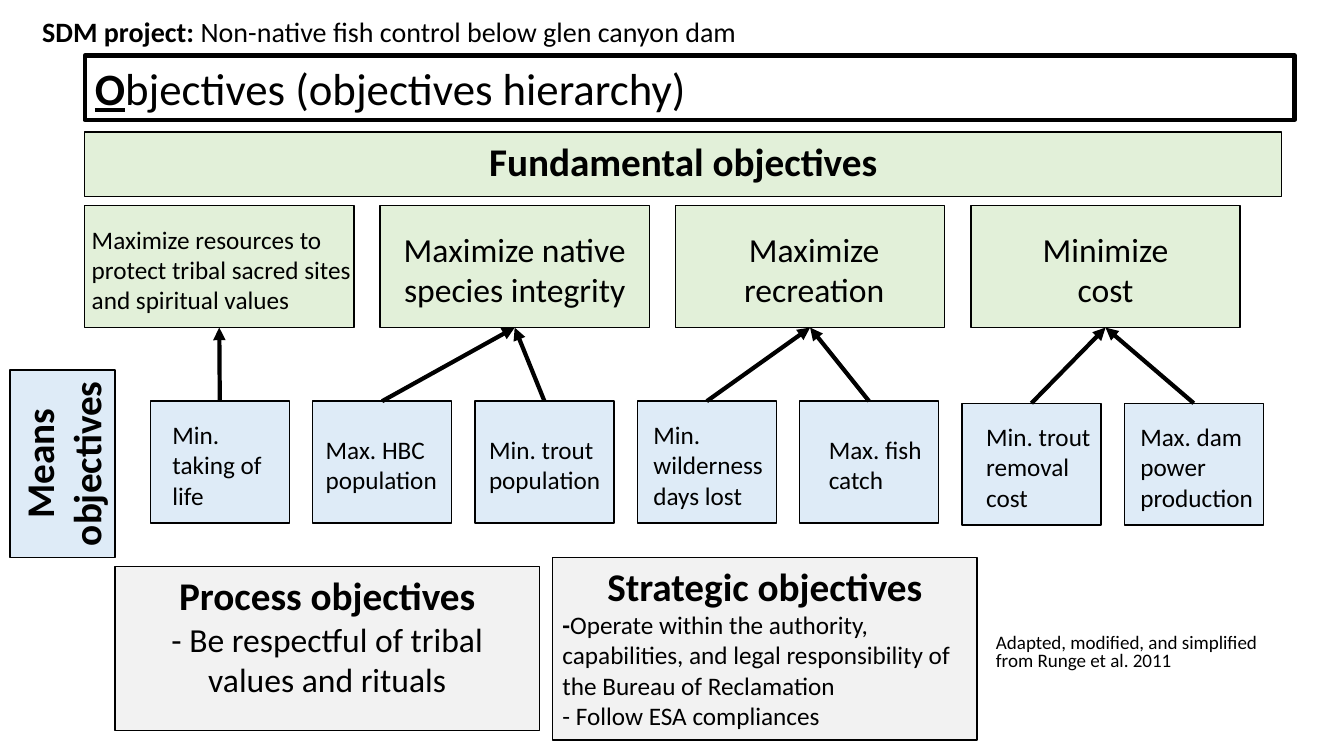
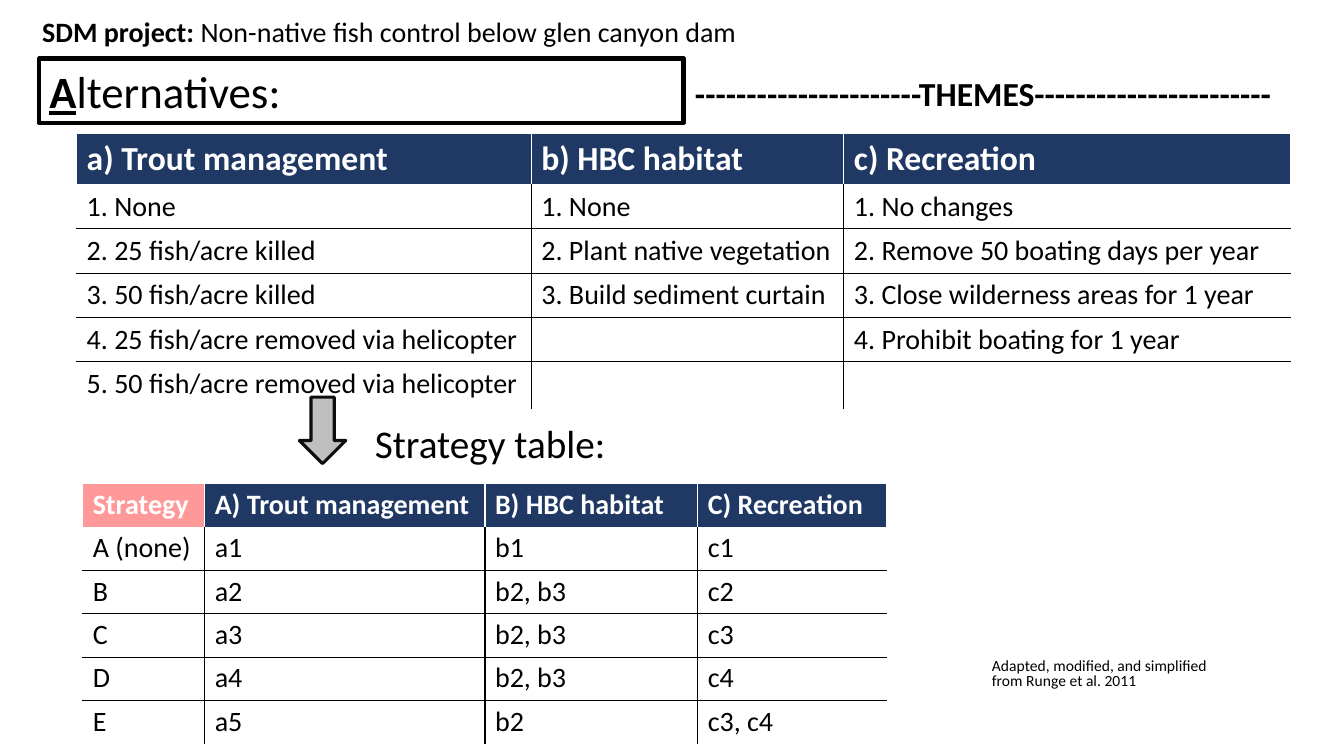
from lxml.etree import SubElement
from pptx import Presentation
from pptx.dml.color import RGBColor
from pptx.enum.shapes import MSO_CONNECTOR, MSO_SHAPE
from pptx.enum.text import MSO_ANCHOR, MSO_AUTO_SIZE, PP_ALIGN
from pptx.oxml.ns import qn
from pptx.util import Inches, Pt

FONT = "Calibri"
COLORS = {
    "black": "000000",
    "white": "FFFFFF",
    "fundamental": "E2F0D9",
    "means": "DEEBF7",
    "other": "F2F2F2",
    "header": "203864",
    "strategy": "FF9999",
    "arrow": "BFBFBF",
    "arrow_line": "0D0D0D",
}
LEFT, CENTER = PP_ALIGN.LEFT, PP_ALIGN.CENTER
TITLE_ONLY = 5

# text, size, alignment, left inset, right inset
FUNDAMENTALS = [
    ("Maximize resources to protect tribal sacred sites and spiritual values", 18, LEFT, 0.07, 0),
    ("Maximize native species integrity", 24, CENTER, 0.15, 0.15),
    ("Maximize recreation", 24, CENTER, 0.18, 0.1),
    ("Minimize cost", 24, CENTER, 0.43, 0.43),
]
# text, left inset, top, index of the fundamental objective it serves
MEANS = [
    ("Min. taking of life", 0.22, 3.98, 0),
    ("Max. HBC population", 0.13, 3.98, 1),
    ("Min. trout population", 0.14, 3.98, 1),
    ("Min. wilderness days lost", 0.16, 3.98, 2),
    ("Max. fish catch", 0.29, 3.98, 2),
    ("Min. trout removal cost", 0.24, 4, 3),
    ("Max. dam power production", 0.16, 4, 3),
]
THEMES = [
    ["a) Trout management", "b) HBC habitat", "c) Recreation"],
    ["1. None", "1. None", "1. No changes"],
    ["2. 25 fish/acre killed", "2. Plant native vegetation", "2. Remove 50 boating days per year"],
    ["3. 50 fish/acre killed", "3. Build sediment curtain", "3. Close wilderness areas for 1 year"],
    ["4. 25 fish/acre removed via helicopter", "", "4. Prohibit boating for 1 year"],
    ["5. 50 fish/acre removed via helicopter", "", ""],
]
STRATEGIES = [
    ["Strategy", "A) Trout management", "B) HBC habitat", "C) Recreation"],
    ["A (none)", "a1", "b1", "c1"],
    ["B", "a2", "b2, b3", "c2"],
    ["C", "a3", "b2, b3", "c3"],
    ["D", "a4", "b2, b3", "c4"],
    ["E", "a5", "b2", "c3, c4"],
]


def rgb(name):
    return RGBColor.from_string(COLORS[name])


def add_run(p, text, size, bold=False, underline=False, color="black"):
    r = p.add_run()
    r.text = text
    r.font.name = FONT
    r.font.size = Pt(size)
    r.font.bold = bold
    r.font.underline = underline
    r.font.color.rgb = rgb(color)


def add_paragraphs(tf, paragraphs):
    """Fill a frame from (alignment, [run arguments, ...]) pairs."""
    tf.word_wrap = True
    for i, (align, runs) in enumerate(paragraphs):
        p = tf.paragraphs[0] if i == 0 else tf.add_paragraph()
        p.alignment = align
        for run in runs:
            add_run(p, *run)


def set_look(sp, fill, line="black", width=1):
    sp.fill.solid()
    sp.fill.fore_color.rgb = rgb(fill)
    sp.line.color.rgb = rgb(line)
    sp.line.width = Pt(width)


def add_box(slide, x, y, w, h, fill, paragraphs, anchor=MSO_ANCHOR.TOP):
    sp = slide.shapes.add_shape(
        MSO_SHAPE.RECTANGLE, Inches(x), Inches(y), Inches(w), Inches(h))
    sp.shadow.inherit = False
    set_look(sp, fill)
    sp.text_frame.vertical_anchor = anchor
    add_paragraphs(sp.text_frame, paragraphs)
    return sp


def add_card(slide, x, y, w, fill, text, size, align, left, right):
    """Add a box of the hierarchy, with its text set by side insets."""
    sp = add_box(slide, x, y, w, 1.21, fill, [(align, [(text, size)])], MSO_ANCHOR.MIDDLE)
    tf = sp.text_frame
    tf.margin_left, tf.margin_right = Inches(left), Inches(right)
    tf.margin_top = Inches(0.1)
    return sp


def add_text(slide, x, y, w, h, runs, align=LEFT):
    tb = slide.shapes.add_textbox(Inches(x), Inches(y), Inches(w), Inches(h))
    add_paragraphs(tb.text_frame, [(align, runs)])
    return tb


def add_credit(slide, x, y, w, h, size):
    tb = add_text(slide, x, y, w, h,
                  [("Adapted, modified, and simplified from Runge et al. 2011", size)])
    tb.text_frame.paragraphs[0].line_spacing = 0.8


def add_arrow(slide, start, end):
    """Join the top of one box to the bottom of another."""
    cx = slide.shapes.add_connector(MSO_CONNECTOR.STRAIGHT, 0, 0, 0, 0)
    cx.begin_connect(start, 0)
    cx.end_connect(end, 2)
    cx.line.color.rgb = rgb("black")
    cx.line.width = Pt(3)
    SubElement(cx.line._get_or_add_ln(), qn("a:tailEnd"), type="triangle")
    SubElement(cx._element.spPr, qn("a:effectLst"))


def add_border(cell, side, color):
    ln = SubElement(cell._tc.get_or_add_tcPr(), qn("a:ln" + side), w=str(Pt(1)))
    fill = SubElement(ln, qn("a:solidFill"))
    SubElement(fill, qn("a:srgbClr"), val=COLORS[color])


def add_grid(slide, x, y, widths, heights, rows, header_size, margin=0.05):
    """Add a table with a dark header row and black inner rules."""
    table = slide.shapes.add_table(
        len(rows), len(widths), Inches(x), Inches(y),
        Inches(sum(widths)), Inches(sum(heights))).table
    table.first_row = table.horz_banding = False
    for column, width in zip(table.columns, widths):
        column.width = Inches(width)
    for i, (row, height) in enumerate(zip(rows, heights)):
        table.rows[i].height = Inches(height)
        for j, text in enumerate(row):
            cell = table.cell(i, j)
            header = i == 0
            sides = {
                "L": header or j > 0,
                "R": header or j < len(widths) - 1,
                "T": i != 1,
                "B": 0 < i < len(rows) - 1,
            }
            for side, drawn in sides.items():
                if drawn:
                    add_border(cell, side, "white" if header else "black")
            cell.fill.solid()
            cell.fill.fore_color.rgb = rgb("header" if header else "white")
            cell.margin_top = cell.margin_bottom = Inches(margin)
            if text:
                add_run(cell.text_frame.paragraphs[0], text, header_size if header else 20,
                        bold=header, color="white" if header else "black")
    return table


def add_slide(prs, initial, rest, x, y, w):
    """Add a slide with the project line and a framed title with a marked initial."""
    slide = prs.slides.add_slide(prs.slide_layouts[TITLE_ONLY])
    title = slide.shapes.title
    title.left, title.top = Inches(x), Inches(y)
    title.width, title.height = Inches(w), Inches(0.64)
    set_look(title, "white", width=3)
    tf = title.text_frame
    tf.auto_size = MSO_AUTO_SIZE.NONE
    tf.vertical_anchor = MSO_ANCHOR.MIDDLE
    add_paragraphs(tf, [(LEFT, [(initial, 32, True, True), (rest, 32)])])
    add_text(slide, 0.32, 0.09, 7.53, 0.44,
             [("SDM project: ", 20, True),
              ("Non-native fish control below glen canyon dam", 20)])
    return slide


def build_objectives(prs):
    slide = add_slide(prs, "O", "bjectives (objectives hierarchy)", 0.84, 0.55, 12)
    add_box(slide, 0.84, 1.31, 11.87, 0.64, "fundamental",
            [(CENTER, [("Fundamental objectives", 28, True)])])
    label = add_box(slide, -0.31, 4.08, 1.86, 1.04, "means",
                    [(CENTER, [("Means objectives", 28, True)])])
    label.rotation = 270

    goals = [add_card(slide, 0.84 + 2.93 * i, 2.04, 2.67, "fundamental", *goal)
             for i, goal in enumerate(FUNDAMENTALS)]
    for i, (text, inset, top, goal) in enumerate(MEANS):
        sp = add_card(slide, 1.49 + 1.61 * i, top, 1.38, "means", text, 18, LEFT, inset, 0.05)
        add_arrow(slide, sp, goals[goal])

    add_box(slide, 1.14, 5.62, 4.21, 1.63, "other", [
        (CENTER, [("Process objectives", 28, True)]),
        (CENTER, [("- Be respectful of tribal values and rituals", 24)]),
    ])
    add_box(slide, 5.48, 5.53, 4.21, 1.81, "other", [
        (CENTER, [("Strategic objectives", 28, True)]),
        (LEFT, [("-", 18, True),
                ("Operate within the authority, capabilities, and legal responsibility "
                 "of the Bureau of Reclamation", 18)]),
        (LEFT, [("- Follow ESA compliances", 18)]),
    ])
    add_credit(slide, 9.78, 6.25, 2.93, 0.58, 13.6)


def build_alternatives(prs):
    slide = add_slide(prs, "A", "lternatives:", 0.39, 0.58, 6.39)
    add_text(slide, 6.75, 0.67, 6, 0.5,
             [("----------------------THEMES-----------------------", 24, True)], CENTER)
    add_grid(slide, 0.76, 1.32, [4.51, 3.1, 4.43], [0.51] + [0.44] * 4 + [0.47], THEMES, 24)

    arrow = slide.shapes.add_shape(
        MSO_SHAPE.DOWN_ARROW, Inches(2.97), Inches(3.94), Inches(0.46), Inches(0.66))
    arrow.shadow.inherit = False
    set_look(arrow, "arrow", "arrow_line", 2.25)
    add_text(slide, 3.62, 4.11, 3.94, 0.57, [("Strategy table:", 28)])

    table = add_grid(slide, 0.82, 4.8, [1.21, 2.78, 2.11, 1.87], [0.43] * 5 + [0.44],
                     STRATEGIES, 20, margin=0.04)
    table.cell(0, 0).fill.fore_color.rgb = rgb("strategy")
    add_credit(slide, 9.74, 6.49, 2.59, 0.42, 11.1)


def main():
    prs = Presentation()
    prs.slide_width, prs.slide_height = Inches(13.33), Inches(7.5)
    build_objectives(prs)
    build_alternatives(prs)
    prs.save("out.pptx")


if __name__ == "__main__":
    main()
